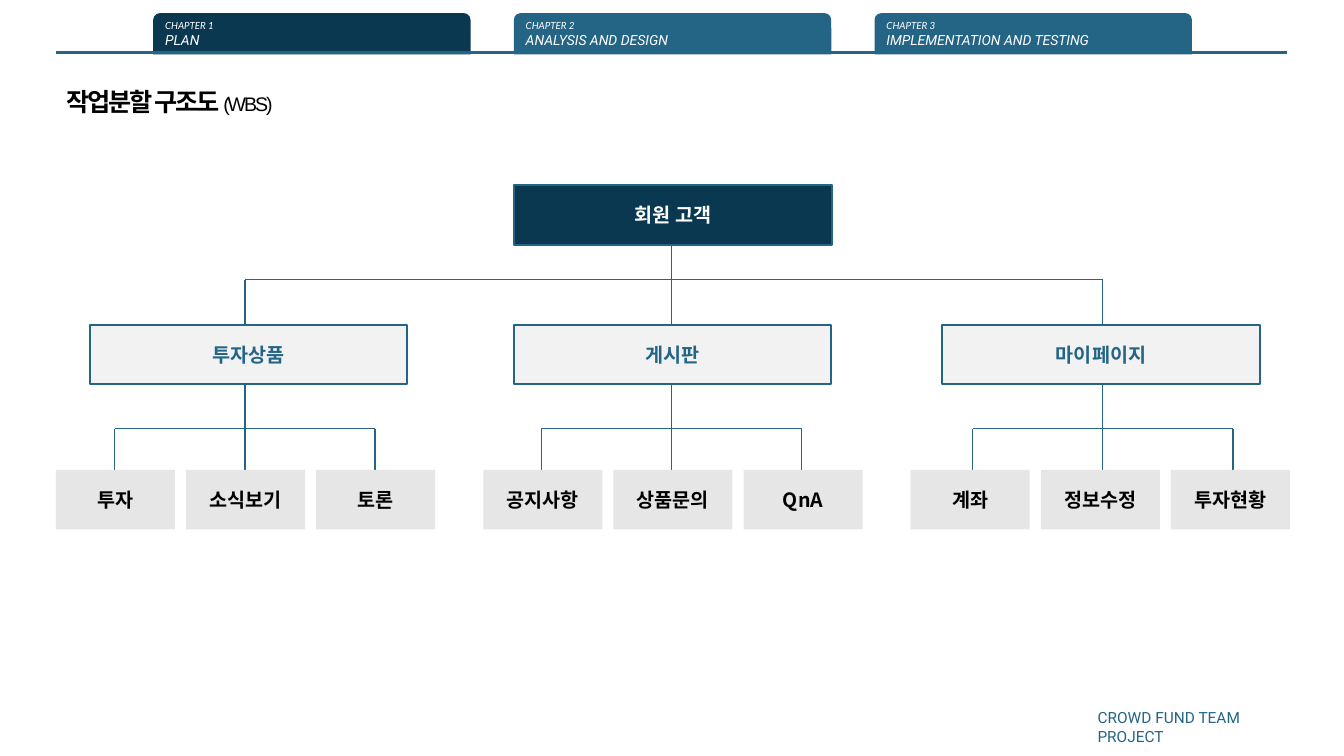
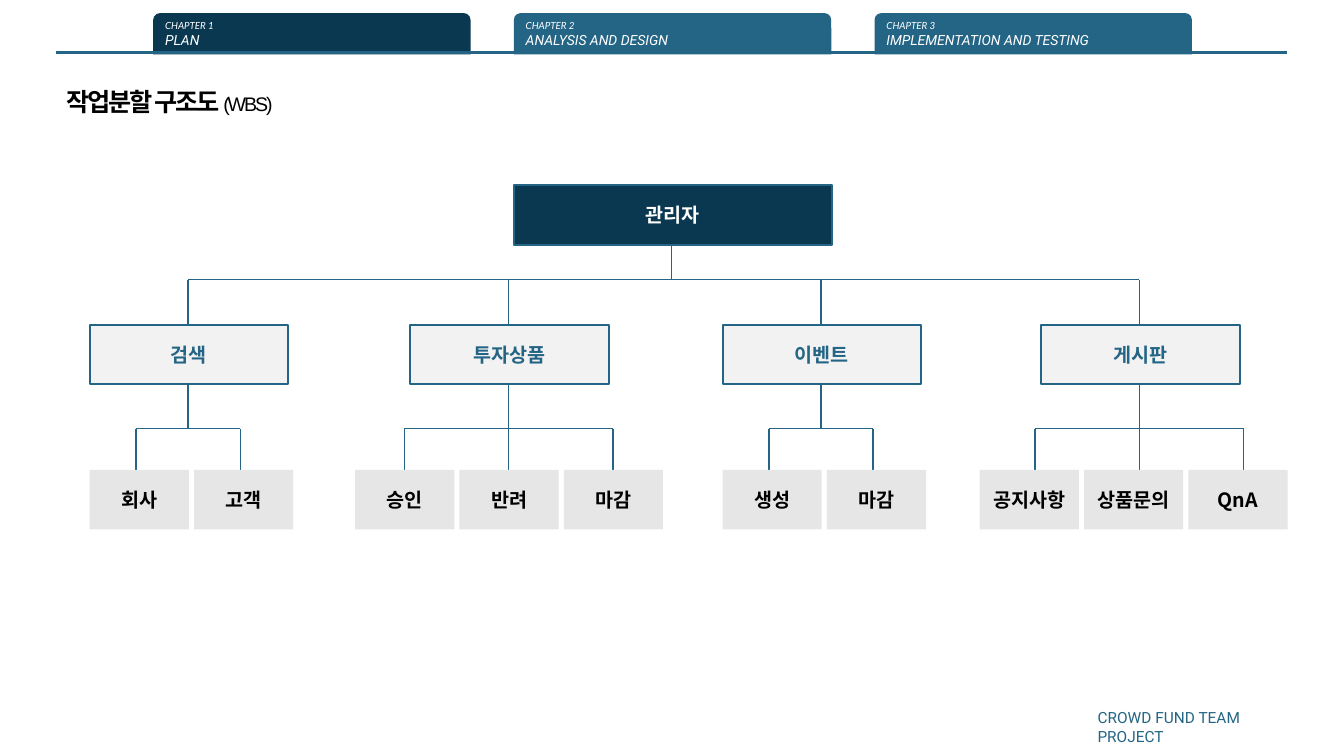
from dataclasses import dataclass

from lxml.etree import SubElement
from pptx import Presentation
from pptx.dml.color import RGBColor
from pptx.enum.shapes import MSO_CONNECTOR, MSO_SHAPE
from pptx.enum.text import MSO_ANCHOR, MSO_AUTO_SIZE, PP_ALIGN
from pptx.oxml.ns import qn
from pptx.util import Cm, Pt

COLORS = {
    "navy": "0A3850",
    "teal": "246585",
    "pale": "F2F2F2",
    "gray": "E7E6E6",
    "white": "FFFFFF",
    "black": "000000",
}
KOREAN = "Noto Sans CJK KR"
CHAPTERS = ["PLAN", "ANALYSIS AND DESIGN", "IMPLEMENTATION AND TESTING"]
NODE_HEIGHT = 1.5
ROOT_LEFT, ROOT_TOP, ROOT_WIDTH = 12.95, 4.67, 8.02
ROOT_AXIS = 16.92
BAR_TOP, BRANCH_TOP, RAIL_TOP, LEAF_TOP = 7.05, 8.18, 10.8, 11.84


@dataclass
class Branch:
    name: str
    leaves: list
    axis: float
    left: float
    leaf_left: float


@dataclass
class Tree:
    root: str
    branch_width: float
    leaf_width: float
    leaf_step: float
    branches: list


TREES = [
    Tree("회원 고객", 8, 3, 3.28, [
        Branch("투자상품", ["투자", "소식보기", "토론"], 6.17, 2.26, 1.41),
        Branch("게시판", ["공지사항", "상품문의", "QnA"], 16.92, 12.95, 12.18),
        Branch("마이페이지", ["계좌", "정보수정", "투자현황"], 27.79, 23.75, 22.95),
    ]),
    Tree("관리자", 5, 2.5, 2.63, [
        Branch("검색", ["회사", "고객"], 4.74, 2.26, 2.26),
        Branch("투자상품", ["승인", "반려", "마감"], 12.82, 10.34, 8.95),
        Branch("이벤트", ["생성", "마감"], 20.69, 18.21, 18.21),
        Branch("게시판", ["공지사항", "상품문의", "QnA"], 28.71, 26.24, 24.69),
    ]),
]


class Deck:
    def __init__(self):
        self.presentation = Presentation()
        self.presentation.slide_width = Cm(33.87)
        self.presentation.slide_height = Cm(19.05)
        self.slide = None

    def format_font(self, font, name, size, color, bold=False, italic=False):
        font.name = name
        font.size = Pt(size)
        font.bold = bold
        font.italic = italic
        font.color.rgb = RGBColor.from_string(COLORS[color])
        SubElement(font._element, qn("a:ea")).set("typeface", KOREAN)

    def add_slide(self, title, suffix):
        layout = self.presentation.slide_layouts[5]
        self.slide = self.presentation.slides.add_slide(layout)
        self.add_title(title, suffix)
        for index, chapter in enumerate(CHAPTERS):
            self.add_tab(index, chapter, "teal" if index else "navy")
        self.add_line(1.42, 1.32, 32.44, 1.32, 2.25)
        self.add_footer("CROWD FUND TEAM PROJECT")

    def add_title(self, title, suffix):
        shape = self.slide.shapes.title
        shape.left, shape.top = Cm(1.42), Cm(2.06)
        shape.width, shape.height = Cm(6.05), Cm(1.02)
        frame = shape.text_frame
        frame.word_wrap = False
        frame.auto_size = MSO_AUTO_SIZE.NONE
        frame.vertical_anchor = MSO_ANCHOR.TOP
        paragraph = frame.paragraphs[0]
        paragraph.alignment = PP_ALIGN.LEFT
        for text, size, bold in ((title + " ", 18, True), (suffix, 14, False)):
            run = paragraph.add_run()
            run.text = text
            self.format_font(run.font, "Arial", size, "black", bold)
            run.font._element.set("spc", "-150")

    def add_footer(self, text):
        box = self.slide.shapes.add_textbox(Cm(27.41), Cm(17.73), Cm(5.28), Cm(0.74))
        box.text_frame.word_wrap = True
        paragraph = box.text_frame.paragraphs[0]
        paragraph.text = text
        self.format_font(paragraph.font, "Roboto", 11, "teal")

    def add_panel(self, kind, left, top, width, height, fill, line=None):
        shape = self.slide.shapes.add_shape(kind, Cm(left), Cm(top), Cm(width), Cm(height))
        shape.shadow.inherit = False
        shape.fill.solid()
        shape.fill.fore_color.rgb = RGBColor.from_string(COLORS[fill])
        if line:
            shape.line.color.rgb = RGBColor.from_string(COLORS[line])
            shape.line.width = Pt(1.5)
        else:
            shape.line.fill.background()
        return shape

    def add_tab(self, index, chapter, fill):
        shape = self.add_panel(MSO_SHAPE.ROUND_2_SAME_RECTANGLE,
                               3.86 + 9.09 * index, 0.33, 8, 1.04, fill)
        frame = shape.text_frame
        frame.vertical_anchor = MSO_ANCHOR.TOP
        frame.text = f"CHAPTER {index + 1}\n{chapter}"
        for paragraph, name, size in zip(frame.paragraphs, ("Lato", "Roboto"), (7, 10)):
            paragraph.alignment = PP_ALIGN.LEFT
            self.format_font(paragraph.font, name, size, "white", italic=True)

    def add_line(self, start_x, start_y, end_x, end_y, width=1):
        connector = self.slide.shapes.add_connector(
            MSO_CONNECTOR.STRAIGHT, Cm(start_x), Cm(start_y), Cm(end_x), Cm(end_y))
        connector.line.color.rgb = RGBColor.from_string(COLORS["teal"])
        connector.line.width = Pt(width)
        SubElement(connector._element.spPr, qn("a:effectLst"))

    def add_node(self, text, left, top, width, fill, color, line=None):
        shape = self.add_panel(MSO_SHAPE.RECTANGLE, left, top, width, NODE_HEIGHT, fill, line)
        frame = shape.text_frame
        frame.margin_left = frame.margin_right = Cm(0.25)
        frame.margin_top = frame.margin_bottom = Cm(0.25)
        frame.vertical_anchor = MSO_ANCHOR.MIDDLE
        paragraph = frame.paragraphs[0]
        paragraph.text = text
        paragraph.alignment = PP_ALIGN.CENTER
        self.format_font(paragraph.font, KOREAN, 14, color, bold=True)

    def add_branch(self, branch, tree):
        span = tree.leaf_step * (len(branch.leaves) - 1)
        rail_left = branch.axis - span / 2
        self.add_line(branch.axis, BAR_TOP, branch.axis, RAIL_TOP)
        self.add_line(rail_left, RAIL_TOP, rail_left + span, RAIL_TOP)
        self.add_node(branch.name, branch.left, BRANCH_TOP, tree.branch_width,
                      "pale", "teal", "teal")
        for index, leaf in enumerate(branch.leaves):
            offset = index * tree.leaf_step
            self.add_line(rail_left + offset, RAIL_TOP, rail_left + offset, LEAF_TOP)
            self.add_node(leaf, branch.leaf_left + offset, LEAF_TOP, tree.leaf_width,
                          "gray", "black")

    def add_tree(self, tree):
        self.add_line(ROOT_AXIS, ROOT_TOP + NODE_HEIGHT, ROOT_AXIS, BAR_TOP)
        self.add_line(tree.branches[0].axis, BAR_TOP, tree.branches[-1].axis, BAR_TOP)
        self.add_node(tree.root, ROOT_LEFT, ROOT_TOP, ROOT_WIDTH, "navy", "white", "teal")
        for branch in tree.branches:
            self.add_branch(branch, tree)


def main():
    deck = Deck()
    for tree in TREES:
        deck.add_slide("작업분할 구조도", "(WBS)")
        deck.add_tree(tree)
    deck.presentation.save("out.pptx")


if __name__ == "__main__":
    main()
